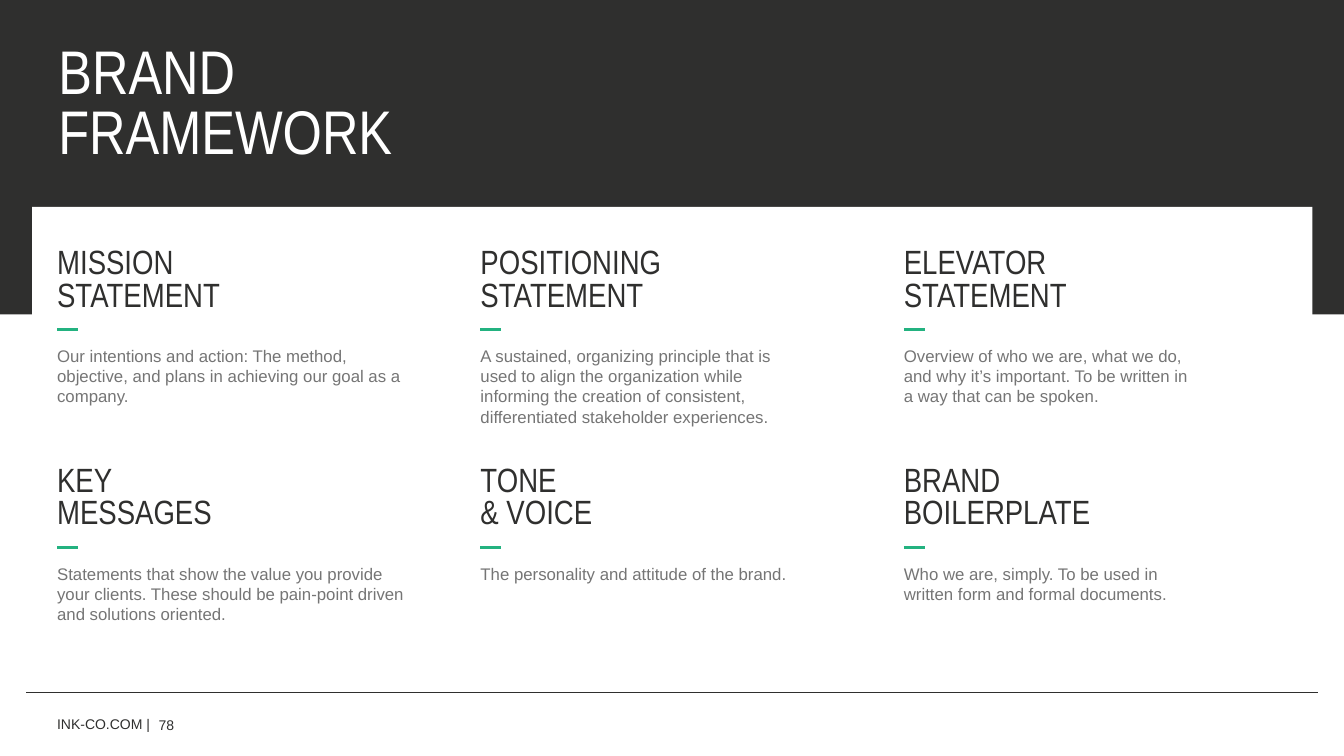
import pptx
import pptx.dml.color
import pptx.enum.shapes
import pptx.enum.text
import pptx.oxml.ns
import pptx.util
from lxml import etree

RGBColor = pptx.dml.color.RGBColor
MIDDLE = pptx.enum.text.MSO_ANCHOR.MIDDLE
TOP = pptx.enum.text.MSO_ANCHOR.TOP

CHARCOAL = RGBColor(0x2F, 0x2F, 0x2E)
WHITE = RGBColor(0xFF, 0xFF, 0xFF)
GREEN = RGBColor(0x23, 0xB2, 0x80)
GREY = RGBColor(0x75, 0x75, 0x75)

SLIDE_WIDTH = pptx.util.Inches(13.33)
SLIDE_HEIGHT = pptx.util.Inches(7.5)

# Card grid, in percent of the slide's width and height
GRID_LEFT, COLUMN_PITCH = 4.25, 31.5
GRID_TOP, ROW_PITCH = 32.95, 28.8
WIDE, NARROW, CARD_HEIGHT = 26, 22.25, 22.4
DASH_DROP, DASH_LENGTH = 10.65, 1.55

# Each card: heading lines, body lines, width
CARDS = [
    [
        (["MISSION", "STATEMENT"],
         ["Our intentions and action: The method, objective, and plans in "
          "achieving our goal as a company."], WIDE),
        (["POSITIONING", "STATEMENT"],
         ["A sustained, organizing principle that is used to align the "
          "organization while informing the creation of consistent, "
          "differentiated stakeholder experiences."], NARROW),
        (["ELEVATOR", "STATEMENT"],
         ["Overview of who we are, what we do,",
          "and why it’s important. To be written in",
          "a way that can be spoken."], WIDE),
    ],
    [
        (["KEY", "MESSAGES"],
         ["Statements that show the value you provide",
          "your clients. These should be pain-point driven",
          "and solutions oriented."], WIDE),
        (["TONE", "& VOICE"],
         ["The personality and attitude of the brand."], WIDE),
        (["BRAND", "BOILERPLATE"],
         ["Who we are, simply. To be used in written form and formal "
          "documents."], NARROW),
    ],
]


def across(percent):
    return round(SLIDE_WIDTH * percent / 100)


def down(percent):
    return round(SLIDE_HEIGHT * percent / 100)


def add_block(slide, left, top, width, height, colour):
    block = slide.shapes.add_shape(
        pptx.enum.shapes.MSO_SHAPE.RECTANGLE,
        across(left), down(top), across(width), down(height))
    block.shadow.inherit = False
    block.fill.solid()
    block.fill.fore_color.rgb = colour
    block.line.fill.background()


def add_rule(slide, left, right, level, colour, weight):
    rule = slide.shapes.add_connector(
        pptx.enum.shapes.MSO_CONNECTOR.STRAIGHT,
        across(left), down(level), across(right), down(level))
    rule.line.color.rgb = colour
    rule.line.width = pptx.util.Pt(weight)
    etree.SubElement(rule.element.spPr, pptx.oxml.ns.qn("a:effectLst"))


def add_text_frame(slide, left, top, width, height, anchor):
    frame = slide.shapes.add_textbox(
        across(left), down(top), across(width), down(height)).text_frame
    frame.word_wrap = True
    frame.vertical_anchor = anchor
    frame.margin_left = frame.margin_right = 0
    frame.margin_top = frame.margin_bottom = 0
    return frame


def write_lines(paragraph, lines, size, font_name, colour, spacing=1.0):
    paragraph.line_spacing = spacing
    for number, line in enumerate(lines):
        if number:
            paragraph.add_line_break()
        run = paragraph.add_run()
        run.text = line
        run.font.size = pptx.util.Pt(size)
        run.font.name = font_name
        run.font.color.rgb = colour


def add_label(slide, text, left, top, width, height):
    frame = add_text_frame(slide, left, top, width, height, MIDDLE)
    write_lines(frame.paragraphs[0], [text], 10, "Arial", CHARCOAL)


def add_card(slide, column, row, heading, body, width):
    left = GRID_LEFT + column * COLUMN_PITCH
    top = GRID_TOP + row * ROW_PITCH
    frame = add_text_frame(slide, left, top, width, CARD_HEIGHT, TOP)
    first = frame.paragraphs[0]
    write_lines(first, heading[:1], 24, "Arial Narrow", CHARCOAL, 0.8)
    second = frame.add_paragraph()
    write_lines(second, heading[1:], 24, "Arial Narrow", CHARCOAL, 0.8)
    description = frame.add_paragraph()
    description.space_before = pptx.util.Pt(23)
    write_lines(description, body, 12, "Arial", GREY)
    add_rule(slide, left, left + DASH_LENGTH, top + DASH_DROP, GREEN, 2)


def main():
    deck = pptx.Presentation()
    deck.slide_width = SLIDE_WIDTH
    deck.slide_height = SLIDE_HEIGHT
    slide = deck.slides.add_slide(deck.slide_layouts[6])

    # Footer rule, dark header and white panel
    add_rule(slide, 1.95, 98.05, 91.6, CHARCOAL, 1)
    add_block(slide, 0, 0, 100, 41.6, CHARCOAL)
    add_block(slide, 2.4, 27.35, 95.25, 18.65, WHITE)

    # Footer
    add_label(slide, "INK-CO.COM |", 4.25, 93.05, 7.5, 5.35)
    add_label(slide, "78", 11.8, 93.85, 8.85, 4)

    # Title
    title = add_text_frame(slide, 4.35, 5.85, 35.85, 16.55, MIDDLE)
    write_lines(title.paragraphs[0], ["BRAND", "FRAMEWORK"],
                44, "Arial Narrow", WHITE, 0.8)

    # Framework cards
    for row, cards in enumerate(CARDS):
        for column, (heading, body, width) in enumerate(cards):
            add_card(slide, column, row, heading, body, width)

    deck.save("out.pptx")


if __name__ == "__main__":
    main()
